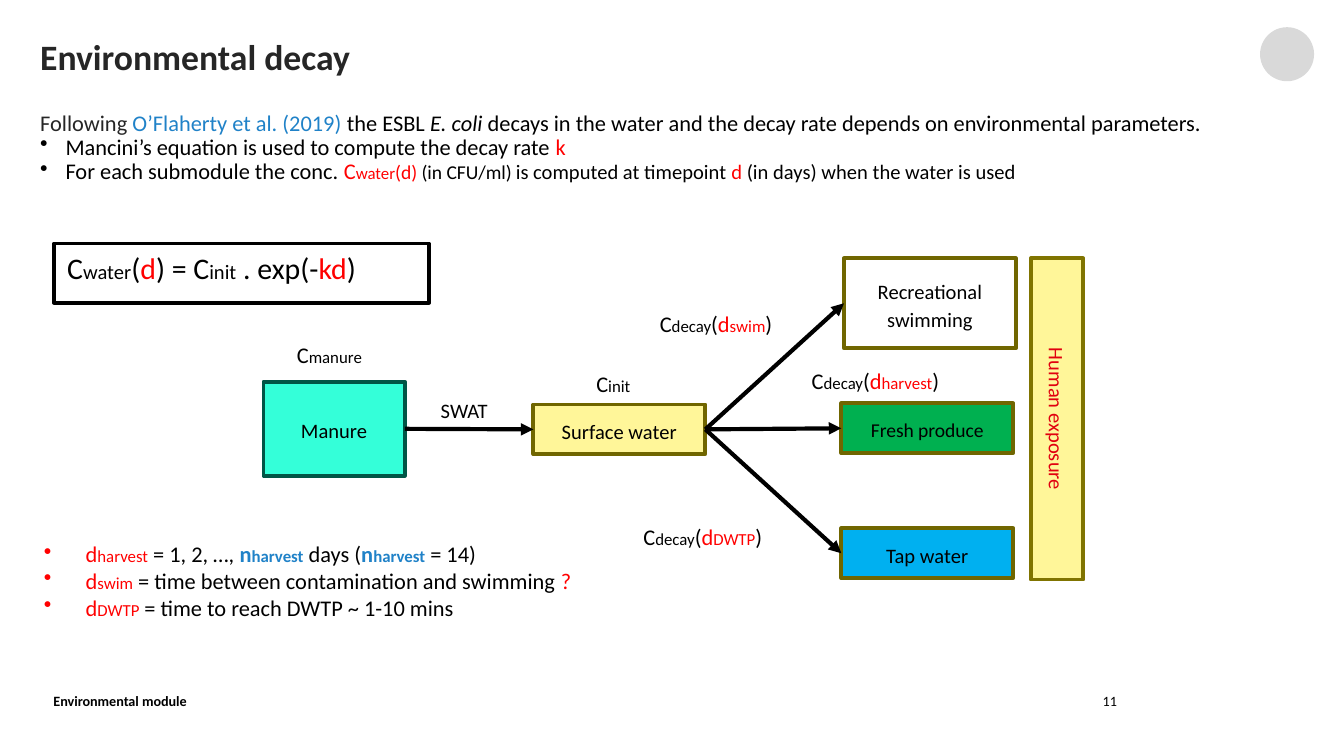
from dataclasses import dataclass
from typing import Optional

import pptx
import pptx.dml.color
import pptx.enum.shapes
import pptx.enum.text
import pptx.oxml
import pptx.oxml.ns
import pptx.util

Cm = pptx.util.Cm
Kind = pptx.enum.shapes.MSO_SHAPE
Align = pptx.enum.text.PP_ALIGN
Anchor = pptx.enum.text.MSO_ANCHOR


@dataclass(frozen=True)
class Theme:
    font: str = "Calibri"
    black: str = "000000"
    grey: str = "262626"
    red: str = "FF0000"
    blue: str = "2082C8"
    crimson: str = "E1000F"
    white: str = "FFFFFF"
    aqua: str = "34FFD9"
    teal: str = "005646"
    yellow: str = "FFF699"
    olive: str = "706600"
    gold: str = "807400"
    green: str = "00B050"
    sky: str = "00B0F0"
    pale: str = "D9D9D9"
    title: float = 19.1
    large: float = 16
    body: float = 12
    label: float = 11
    note: float = 10.5
    sub: float = 9
    foot: float = 7.6
    edge: float = 2
    arrow: float = 2.25


T = Theme()


@dataclass(frozen=True)
class Run:
    text: str
    size: float = T.body
    color: str = T.black
    bold: bool = False
    slant: bool = False


@dataclass(frozen=True)
class Area:
    """Left, top, width and height in centimetres."""
    x: float
    y: float
    w: float
    h: float

    def lengths(self) -> list:
        return [Cm(v) for v in (self.x, self.y, self.w, self.h)]


@dataclass(frozen=True)
class Box:
    area: Area
    text: str
    fill: Optional[str]
    line: str
    size: float = T.label
    color: str = T.black
    turn: int = 0
    pitch: float = 1.15


@dataclass(frozen=True)
class Line:
    """One paragraph; a positive hang in centimetres makes it a bullet."""
    runs: list
    hang: float = 0


def rgb(code: str):
    return pptx.dml.color.RGBColor.from_string(code)


def add_runs(para, runs: list) -> None:
    for item in runs:
        run = para.add_run()
        run.text = item.text
        font = run.font
        font.name, font.size = T.font, pptx.util.Pt(item.size)
        font.bold, font.italic = item.bold, item.slant
        font.color.rgb = rgb(item.color)


def add_mark(para, hang: float) -> None:
    props = para._p.get_or_add_pPr()
    props.set("marL", str(Cm(hang)))
    props.set("indent", str(-Cm(hang)))
    props.append(pptx.oxml.parse_xml(
        f'<a:buChar {pptx.oxml.ns.nsdecls("a")} char="•"/>'))


def add_text(slide, area: Area, lines: list, pitch: float = 1, flush: bool = False,
             align=Align.LEFT, anchor=Anchor.TOP) -> None:
    frame = slide.shapes.add_textbox(*area.lengths()).text_frame
    frame.word_wrap, frame.vertical_anchor = True, anchor
    if flush:
        frame.margin_left = frame.margin_right = 0
        frame.margin_top = frame.margin_bottom = 0
    for i, line in enumerate(lines):
        para = frame.add_paragraph() if i else frame.paragraphs[0]
        para.alignment, para.line_spacing = align, pitch
        if line.hang:
            add_mark(para, line.hang)
        add_runs(para, line.runs)


def add_box(slide, box: Box, kind=Kind.RECTANGLE) -> None:
    shape = slide.shapes.add_shape(kind, *box.area.lengths())
    shape.shadow.inherit = False
    shape.rotation = box.turn
    if box.fill:
        shape.fill.solid()
        shape.fill.fore_color.rgb = rgb(box.fill)
    else:
        shape.fill.background()
    shape.line.color.rgb = rgb(box.line)
    shape.line.width = pptx.util.Pt(T.edge)
    if box.text:
        frame = shape.text_frame
        frame.word_wrap, frame.vertical_anchor = True, Anchor.MIDDLE
        para = frame.paragraphs[0]
        para.alignment, para.line_spacing = Align.CENTER, box.pitch
        add_runs(para, [Run(box.text, box.size, box.color)])


def add_link(slide, tail: Area, head: Area) -> None:
    """Arrow from the middle of the right side to the middle of the left side."""
    link = slide.shapes.add_connector(
        pptx.enum.shapes.MSO_CONNECTOR.STRAIGHT,
        Cm(tail.x + tail.w), Cm(tail.y + tail.h / 2),
        Cm(head.x), Cm(head.y + head.h / 2))
    link.line.color.rgb = rgb(T.black)
    link.line.width = pptx.util.Pt(T.arrow)
    space = pptx.oxml.ns.nsdecls("a")
    link.line._get_or_add_ln().append(
        pptx.oxml.parse_xml(f'<a:tailEnd {space} type="triangle"/>'))
    link._element.spPr.append(pptx.oxml.parse_xml(f"<a:effectLst {space}/>"))


def term(base: str, sub: str, color: str = T.black, bold: bool = False,
         size: float = T.body, small: float = T.sub) -> list:
    """A symbol followed by its smaller index."""
    return [Run(base, size, color, bold), Run(sub, small, color, bold)]


def decay(sub: str) -> list:
    return [*term("C", "decay"), Run("("), *term("d", sub, T.red), Run(")")]


def main() -> None:
    deck = pptx.Presentation()
    deck.slide_width, deck.slide_height = Cm(25.4), Cm(14.28)
    slide = deck.slides.add_slide(deck.slide_layouts[6])

    add_box(slide, Box(Area(23.85, 0.55, 0.95, 0.95), "", T.pale, T.pale), Kind.OVAL)
    add_text(slide, Area(0.76, 0.76, 22.66, 1.78),
             [Line([Run("Environmental decay", T.title, T.grey, True)])], 0.9, True)
    add_text(slide, Area(0.76, 12.95, 8.59, 0.58),
             [Line([Run("Environmental module", T.foot, bold=True)])], anchor=Anchor.BOTTOM)
    add_text(slide, Area(17.6, 12.95, 3.76, 0.58), [Line([Run("11", T.foot)])],
             align=Align.RIGHT)

    intro = [
        Line([Run("Following ", color=T.grey),
              Run("O’Flaherty et al. (2019) ", color=T.blue),
              Run("the ESBL "), Run("E. coli ", slant=True),
              Run("decays in the water and the decay rate depends on "
                  "environmental parameters.")]),
        Line([Run("Mancini’s equation is used to compute the decay rate "),
              Run("k", color=T.red)], 0.48),
        Line([Run("For each submodule the conc. "), *term("C", "water", T.red),
              Run("(d) ", T.note, T.red), Run("(in CFU/ml)", T.note), Run(" ", T.sub),
              Run("is computed at timepoint ", T.label), Run("d ", T.label, T.red),
              Run("(in days) when the water is used", T.label)], 0.48),
    ]
    add_text(slide, Area(0.76, 2.11, 22.66, 10.21), intro, 0.9, True)

    manure = Box(Area(4.98, 7.21, 2.67, 1.78), "Manure", T.aqua, T.teal)
    water = Box(Area(10.08, 7.64, 3.25, 0.94), "Surface water", T.yellow, T.olive)
    swim = Box(Area(15.95, 4.88, 3.25, 1.7), "Recreational swimming", T.white, T.olive)
    fresh = Box(Area(15.9, 7.62, 3.25, 0.94), "Fresh produce", T.green, T.olive, T.note)
    tap = Box(Area(15.9, 9.98, 3.25, 0.94), "Tap water", T.sky, T.olive)
    human = Box(Area(16.94, 7.42, 6.07, 0.99), "Human exposure", T.yellow, T.gold,
                color=T.crimson, turn=90, pitch=1)
    for box in (manure, water, swim, fresh, tap, human):
        add_box(slide, box)
    add_link(slide, manure.area, water.area)
    for goal in (swim, fresh, tap):
        add_link(slide, water.area, goal.area)

    labels = [
        (8.08, 7.39, 1.9, [Run("SWAT", T.label)]),
        (5.36, 6.32, 2.29, term("C", "manure")),
        (11.02, 6.86, 2.29, term("C", "init")),
        (15.09, 6.81, 3.89, decay("harvest")),
        (12.22, 5.74, 3.1, decay("swim")),
        (11.91, 9.75, 3.4, decay("DWTP")),
    ]
    for x, y, w, runs in labels:
        add_text(slide, Area(x, y, w, 0.76), [Line(runs)])

    count = term("n", "harvest", T.blue, True)
    times = [
        [*term("d", "harvest", T.red), Run(" = 1, 2, …, "), *count,
         Run(" days ("), *count, Run(" = 14)")],
        [*term("d", "swim", T.red),
         Run(" = time between contamination and swimming "), Run("?", color=T.red)],
        [*term("d", "DWTP", T.red), Run(" = time to reach DWTP ~ 1-10 mins")],
    ]
    add_text(slide, Area(0.58, 10.08, 12.4, 1.8), [Line(runs, 0.79) for runs in times])

    big = T.large
    model = [*term("C", "water", size=big, small=T.label), Run("(", big),
             Run("d", big, T.red), Run(") = ", big),
             *term("C", "init", size=big, small=T.label),
             Run(" . exp(-", big), Run("kd", big, T.red), Run(")", big)]
    add_text(slide, Area(1.02, 4.6, 8.03, 0.94), [Line(model)])
    add_box(slide, Box(Area(1.02, 4.6, 7.09, 1.12), "", None, T.black))

    deck.save("out.pptx")


if __name__ == "__main__":
    main()
